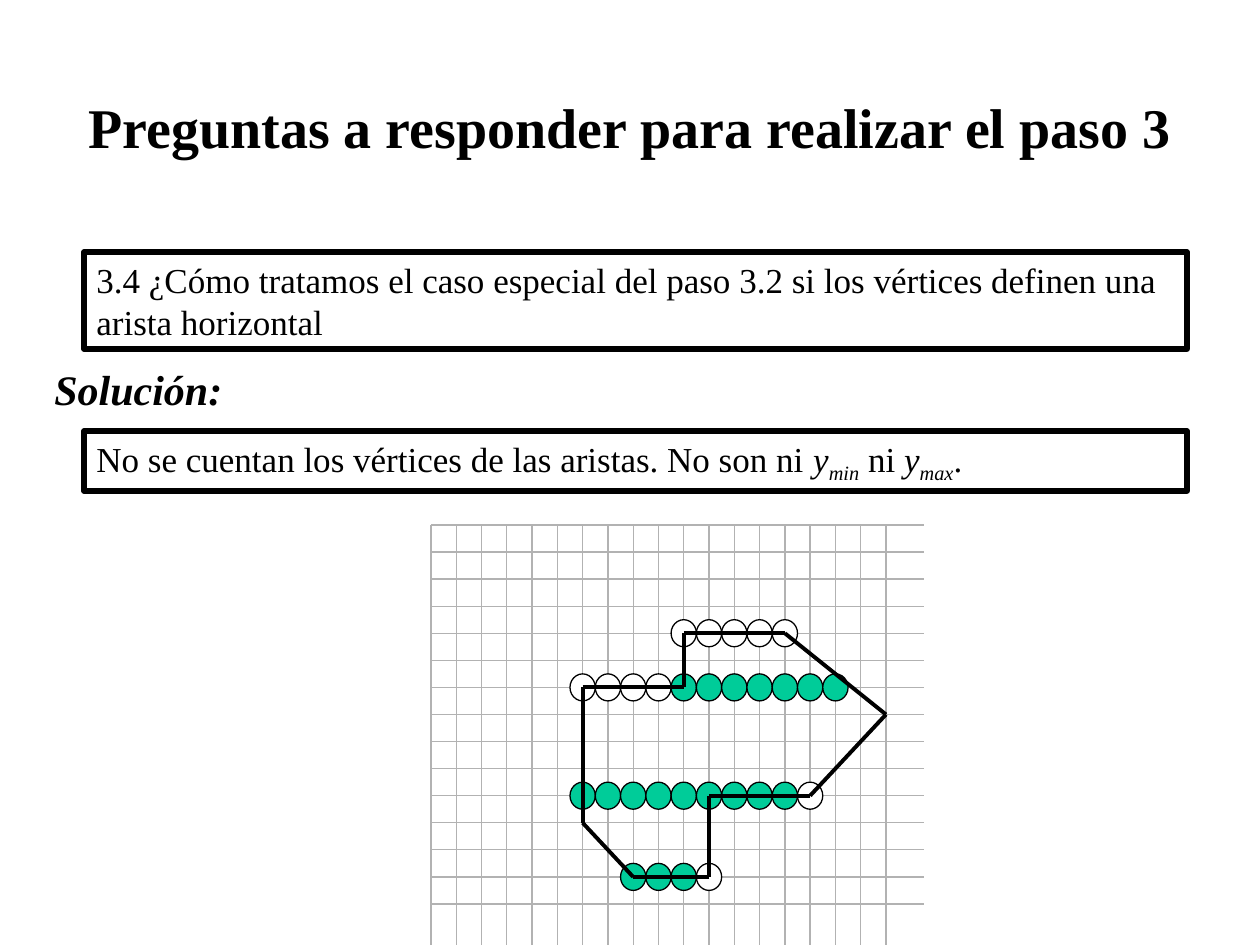
"""Builds the slide on horizontal edges in polygon scan conversion."""
from dataclasses import dataclass
from itertools import pairwise

from lxml.etree import SubElement
from pptx import Presentation
from pptx.dml.color import RGBColor
from pptx.enum.shapes import MSO_CONNECTOR, MSO_SHAPE
from pptx.enum.text import MSO_ANCHOR, MSO_AUTO_SIZE, PP_ALIGN
from pptx.oxml.ns import qn
from pptx.util import Pt

EMU_PER_PX = 914400 / 126


@dataclass(frozen=True)
class Theme:
    font: str = "Times New Roman"
    ink: RGBColor = RGBColor(0, 0, 0)
    paper: RGBColor = RGBColor(255, 255, 255)
    filled: RGBColor = RGBColor(0, 204, 153)
    grid: RGBColor = RGBColor(178, 178, 178)
    title_size: int = 32
    heading_size: int = 24
    body_size: int = 20
    frame_width: float = 3
    edge_width: float = 2.25
    thin_width: float = 0.75


def emu(*lengths):
    return [round(length * EMU_PER_PX) for length in lengths]


def apply(target, values):
    for name, value in values.items():
        setattr(target, name, value)


class SlideBuilder:
    def __init__(self, slide, theme):
        self.slide = slide
        self.theme = theme
        self.drawing = slide.shapes.add_group_shape()

    def set_text(self, shape, runs, size, alignment=PP_ALIGN.LEFT,
                 anchor=MSO_ANCHOR.TOP, **style):
        frame = shape.text_frame
        apply(frame, {"word_wrap": True, "auto_size": MSO_AUTO_SIZE.NONE,
                      "vertical_anchor": anchor})
        paragraph = frame.paragraphs[0]
        paragraph.alignment = alignment
        for text, extra, baseline in runs:
            run = paragraph.add_run()
            run.text = text
            apply(run.font, {"name": self.theme.font, "size": Pt(size), **style, **extra})
            run.font.color.rgb = self.theme.ink
            if baseline:
                run.font._element.set("baseline", str(baseline))

    def outline(self, shape, color, width):
        shape.line.color.rgb = color
        shape.line.width = Pt(width)

    def title(self, text, box):
        shape = self.slide.shapes.title
        apply(shape, dict(zip(("left", "top", "width", "height"), emu(*box))))
        self.set_text(shape, [(text, {}, 0)], self.theme.title_size,
                      PP_ALIGN.CENTER, MSO_ANCHOR.MIDDLE, bold=True)

    def heading(self, text, box):
        shape = self.slide.shapes.add_textbox(*emu(*box))
        self.set_text(shape, [(text, {}, 0)], self.theme.heading_size, bold=True, italic=True)

    def framed_text(self, runs, box, fill=None):
        shape = self.slide.shapes.add_shape(MSO_SHAPE.RECTANGLE, *emu(*box))
        shape.shadow.inherit = False
        if fill is None:
            shape.fill.background()
        else:
            shape.fill.solid()
            shape.fill.fore_color.rgb = fill
        self.outline(shape, self.theme.ink, self.theme.frame_width)
        self.set_text(shape, runs, self.theme.body_size)

    def line(self, start, end, color, width):
        connector = self.drawing.shapes.add_connector(
            MSO_CONNECTOR.STRAIGHT, *emu(*start, *end))
        self.outline(connector, color, width)
        SubElement(connector._element.spPr, qn("a:effectLst"))

    def dot(self, center, width, height, fill):
        x, y = center
        shape = self.drawing.shapes.add_shape(
            MSO_SHAPE.OVAL, *emu(x - width / 2, y - height / 2, width, height))
        shape.shadow.inherit = False
        shape.fill.solid()
        shape.fill.fore_color.rgb = fill
        self.outline(shape, self.theme.ink, self.theme.thin_width)


def draw_polygon(builder):
    """Draws the pixel grid, the scan line pixels and the polygon edges."""
    theme = builder.theme
    left, top, right, bottom = 431, 525, 924, 945
    columns, rows = 18, 14
    step_x, step_y = (886 - left) / columns, (904 - top) / rows

    def node(column, row):
        return left + column * step_x, top + row * step_y

    for column in range(columns + 1):
        x, _ = node(column, 0)
        builder.line((x, top), (x, bottom), theme.grid, theme.thin_width)
    for row in range(rows + 1):
        _, y = node(0, row)
        builder.line((right, y), (left, y), theme.grid, theme.thin_width)

    pixel_runs = [
        (13, range(8, 11), theme.filled), (13, range(11, 12), theme.paper),
        (10, range(6, 15), theme.filled), (10, range(15, 16), theme.paper),
        (6, range(6, 10), theme.paper), (6, range(10, 17), theme.filled),
        (4, range(10, 15), theme.paper),
    ]
    for row, span, fill in pixel_runs:
        for column in span:
            builder.dot(node(column, row), step_x, step_y, fill)

    vertices = [(6, 6), (10, 6), (10, 4), (14, 4), (18, 7),
                (15, 10), (11, 10), (11, 13), (8, 13), (6, 11)]
    for start, end in pairwise(vertices + vertices[:1]):
        builder.line(node(*start), node(*end), theme.ink, theme.edge_width)


def main():
    presentation = Presentation()
    apply(presentation, dict(zip(("slide_width", "slide_height"), emu(1260, 945))))
    slide = presentation.slides.add_slide(presentation.slide_layouts[5])
    theme = Theme()
    builder = SlideBuilder(slide, theme)
    italic = {"italic": True}

    builder.title("Preguntas a responder para realizar el paso 3", (0, 63, 1260, 126))
    builder.framed_text(
        [("3.4 ¿Cómo tratamos el caso especial del paso 3.2 si los vértices "
          "definen una arista horizontal", {}, 0)], (84, 252, 1103, 97))
    builder.heading("Solución:", (42, 357, 388, 63))
    builder.framed_text(
        [("No se cuentan los vértices de las aristas. No son ni ", {}, 0),
         ("y", italic, 0), ("min", italic, -25000), (" ni ", {}, 0),
         ("y", italic, 0), ("max", italic, -25000), (".", {}, 0)],
        (84, 431, 1103, 60), theme.paper)
    draw_polygon(builder)
    presentation.save("out.pptx")


if __name__ == "__main__":
    main()
